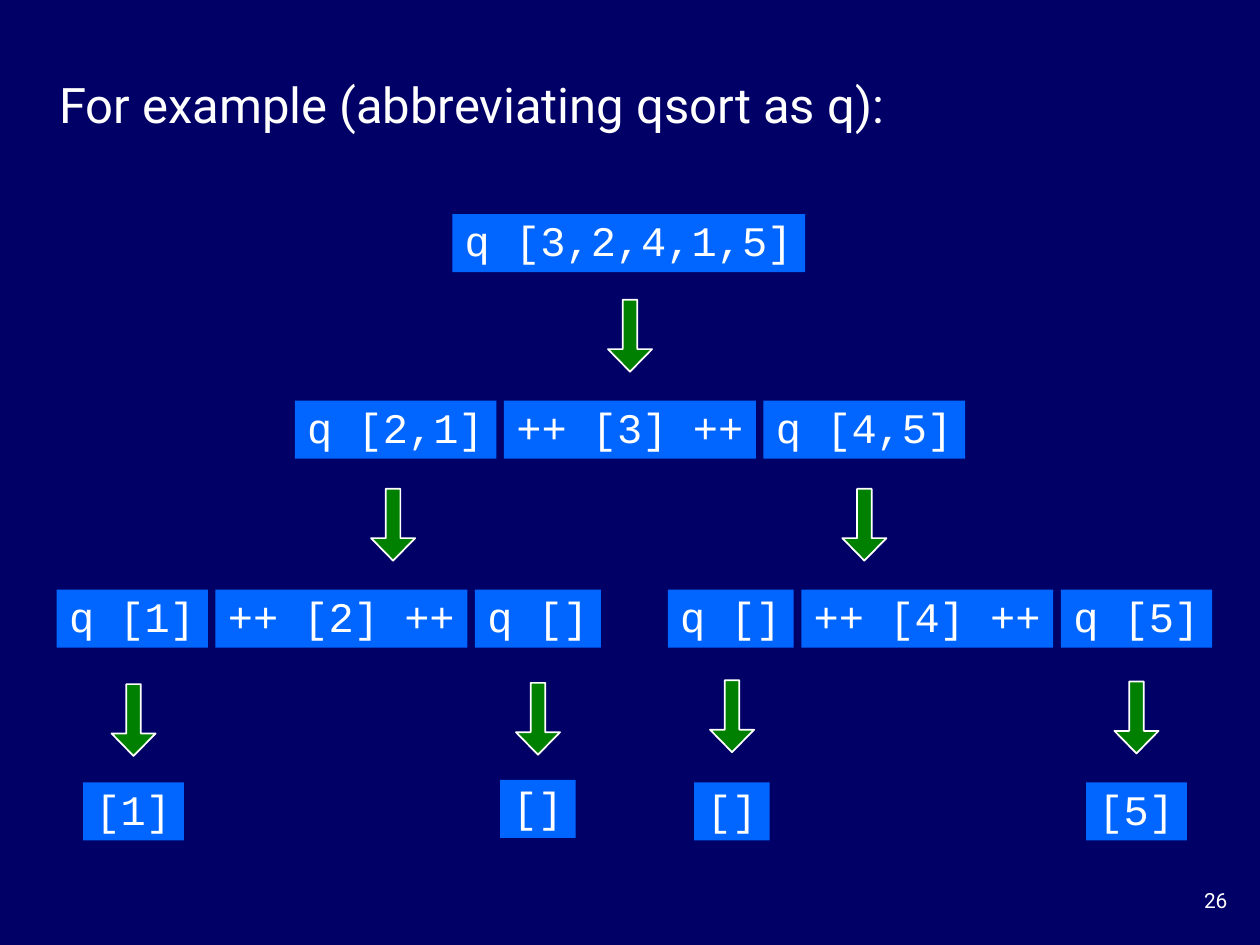
from pptx import Presentation
from pptx.dml.color import RGBColor
from pptx.enum.shapes import MSO_SHAPE as Shape
from pptx.enum.text import MSO_ANCHOR as Anchor, MSO_AUTO_SIZE as AutoSize, PP_ALIGN as Align
from pptx.util import Inches, Pt

COLORS = {"background": "000066", "box": "0066FF", "arrow": "008000", "text": "FFFFFF"}
TITLE_ONLY = 5
CHARACTER_WIDTH, BOX_PADDING, BOX_HEIGHT, BOX_GAP = 0.2, 0.2, 0.46, 0.06
ARROW_WIDTH, ARROW_HEIGHT = 0.35, 0.57


def color(name):
    return RGBColor.from_string(COLORS[name])


def box_width(text):
    return BOX_PADDING + CHARACTER_WIDTH * len(text)


class SlideBuilder:
    """Holds the style and the slide being built."""

    title_format = {"name": "Roboto", "size": Pt(28)}
    code_format = {"name": "Courier New", "size": Pt(24)}
    number_format = {"name": "Roboto", "size": Pt(11.9)}

    def __init__(self, presentation):
        self.slide = presentation.slides.add_slide(presentation.slide_layouts[TITLE_ONLY])
        fill = self.slide.background.fill
        fill.solid()
        fill.fore_color.rgb = color("background")

    def set_text(self, shape, text, font_format, align=Align.LEFT, anchor=Anchor.MIDDLE,
                 wrap=True, auto_size=AutoSize.NONE):
        frame = shape.text_frame
        frame_format = {"text": text, "word_wrap": wrap, "auto_size": auto_size,
                        "vertical_anchor": anchor,
                        "margin_left": Inches(0.1), "margin_right": Inches(0.1),
                        "margin_top": Inches(0.05), "margin_bottom": Inches(0.05)}
        for name, value in frame_format.items():
            setattr(frame, name, value)
        paragraph = frame.paragraphs[0]
        paragraph.alignment = align
        for name, value in font_format.items():
            setattr(paragraph.font, name, value)
        paragraph.font.color.rgb = color("text")
        return paragraph

    def title(self, text, left, top, width, height):
        shape = self.slide.shapes.title
        placement = {"left": left, "top": top, "width": width, "height": height}
        for name, value in placement.items():
            setattr(shape, name, Inches(value))
        self.set_text(shape, text, self.title_format)

    def number(self, text, left, top, width, height):
        shape = self.slide.shapes.add_textbox(*map(Inches, (left, top, width, height)))
        self.set_text(shape, text, self.number_format, align=Align.RIGHT, anchor=Anchor.TOP)

    def group(self):
        return self.slide.shapes.add_group_shape().shapes

    def preset(self, shapes, kind, fill, left, top, width, height):
        shape = shapes.add_shape(kind, *map(Inches, (left, top, width, height)))
        shape.shadow.inherit = False
        shape.fill.solid()
        shape.fill.fore_color.rgb = color(fill)
        return shape

    def box(self, shapes, text, left, top):
        shape = self.preset(shapes, Shape.RECTANGLE, "box",
                            left, top, box_width(text), BOX_HEIGHT)
        shape.line.fill.background()
        paragraph = self.set_text(shape, text, self.code_format, wrap=False,
                                  auto_size=AutoSize.SHAPE_TO_FIT_TEXT)
        paragraph.line_spacing = 0.9

    def row(self, shapes, texts, left, top):
        for text in texts:
            self.box(shapes, text, left, top)
            left += box_width(text) + BOX_GAP

    def arrow(self, shapes, center, top):
        shape = self.preset(shapes, Shape.DOWN_ARROW, "arrow",
                            center - ARROW_WIDTH / 2, top, ARROW_WIDTH, ARROW_HEIGHT)
        shape.adjustments[0], shape.adjustments[1] = 0.33, 0.51
        shape.line.color.rgb = color("text")
        shape.line.width = Pt(1)


def main():
    presentation = Presentation()
    presentation.slide_width, presentation.slide_height = Inches(10), Inches(7.5)
    builder = SlideBuilder(presentation)

    # Title, page number and the starting call
    builder.title("For example (abbreviating qsort as q):", 0.37, 0.54, 9.09, 0.57)
    builder.number("26", 9.17, 7, 0.67, 0.33)
    builder.box(builder.slide.shapes, "q [3,2,4,1,5]", 3.59, 1.7)

    # Recursive steps: texts, row left, row top, arrow center, arrow top
    steps = [
        (["q [2,1]", "++ [3] ++", "q [4,5]"], 2.34, 3.18, 5, 2.38),
        (["q [1]", "++ [2] ++", "q []"], 0.45, 4.68, 3.12, 3.88),
        (["q []", "++ [4] ++", "q [5]"], 5.3, 4.68, 6.86, 3.88),
    ]
    for texts, left, top, arrow_center, arrow_top in steps:
        shapes = builder.group()
        builder.row(shapes, texts, left, top)
        builder.arrow(shapes, arrow_center, arrow_top)

    # Final results: text, center, box top, arrow top
    results = [
        ("[1]", 1.06, 6.21, 5.43),
        ("[]", 4.27, 6.19, 5.42),
        ("[]", 5.81, 6.21, 5.4),
        ("[5]", 9.02, 6.21, 5.41),
    ]
    for text, center, top, arrow_top in results:
        shapes = builder.group()
        builder.box(shapes, text, center - box_width(text) / 2, top)
        builder.arrow(shapes, center, arrow_top)

    presentation.save("out.pptx")


if __name__ == "__main__":
    main()
